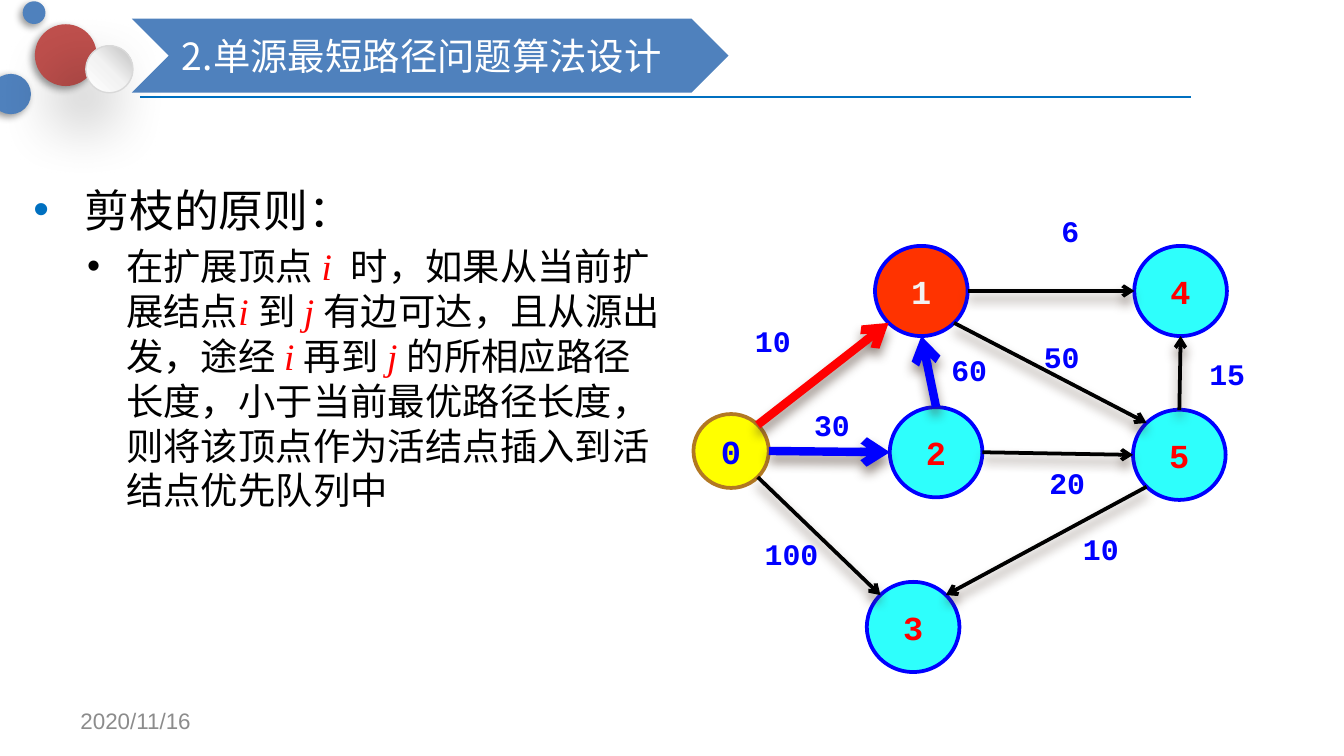
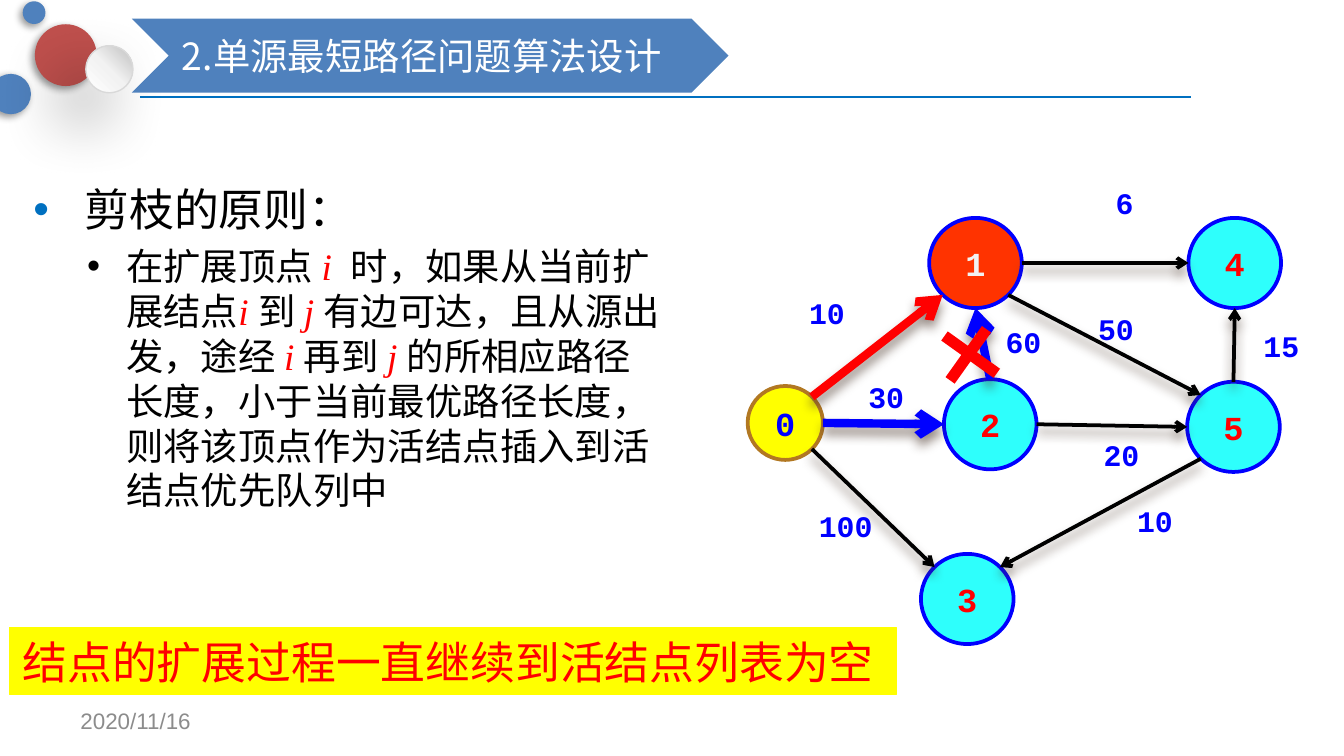
from dataclasses import dataclass
from math import cos, radians, sin

from lxml.etree import SubElement
from pptx import Presentation
from pptx.dml.color import RGBColor
from pptx.enum.shapes import MSO_CONNECTOR, MSO_SHAPE as SHAPE
from pptx.enum.text import MSO_ANCHOR as ANCHOR, PP_ALIGN as ALIGN
from pptx.oxml.ns import qn
from pptx.util import Pt


@dataclass(frozen=True)
class Theme:
    cjk: str = "Noto Sans CJK SC"
    mono: str = "Courier New"
    serif: str = "Times New Roman"
    sans: str = "Arial"
    black: str = "000000"
    white: str = "FFFFFF"
    band: str = "4F81BD"
    brick: str = "C0504D"
    rule: str = "0070C0"
    pearl_line: str = "D9D9D9"
    red: str = "FF0000"
    blue: str = "0000FF"
    yellow: str = "FFFF00"
    cyan: str = "2EFFFC"
    orange: str = "FF3300"
    brown: str = "B27822"
    pale: str = "F2F2F2"
    grey: str = "8C8C8C"
    h1: int = 24
    h2: int = 20
    node: int = 18
    weight: int = 16
    date: int = 12


T = Theme()
PEARL = [(0, "FFFFFF"), (50, "F2F2F2"), (100, "BFBFBF")]
# Shadows: colour, opacity %, blur, distance, direction
ARROW_SHADOW = ("4E3B30", 60, 6, 4, 90)
BALL_SHADOW = (T.black, 40, 4, 2, 135)
PEARL_SHADOW = (T.black, 40, 35, 20, 135)

TITLE = "2.单源最短路径问题算法设计"
DATE = "2020/11/16"
HEADING = "剪枝的原则："
# Odd entries are the vertex variables
RULE = ["在扩展顶点 ", "i  ", "时，如果从当前扩展结点", "i ", "到 ", "j ",
        "有边可达，且从源出发，途经 ", "i ", "再到 ", "j ",
        "的所相应路径长度，小于当前最优路径长度，则将该顶点作为活结点插入到活结点优先队列中"]
BANNER = "结点的扩展过程一直继续到活结点列表为空"

BALLS = [  # left, top, diameter, fill
    (18.7, 13, 33.1, T.brick), (-5, 39.6, 21.6, T.band),
    (46, 24.5, 25.2, None), (12.2, 0.7, 12.2, T.band)]

BIG, SMALL = (49.6, 48.3), (40.3, 39.6)
NODES = {  # centre, size, fill, line, text
    "0": ((391.7, 241.6), SMALL, T.yellow, T.brown, T.blue),
    "1": ((493.6, 155.9), BIG, T.orange, T.blue, T.pale),
    "2": ((501.5, 242.3), BIG, T.cyan, T.blue, T.red),
    "5": ((631.8, 243.7), BIG, T.cyan, T.blue, T.red),
    "3": ((489.2, 335.9), BIG, T.cyan, T.blue, T.red),
    "4": ((632.5, 155.9), BIG, T.cyan, T.blue, T.red)}
COMPASS = {"E": 0, "SE": 45, "S": 90, "SW": 135, "W": 180, "NW": 225, "N": 270, "NE": 315}
THIN, THICK = 2, 4.5
EDGES = [  # node, side, node, side, colour, width
    ("0", "SE", "3", "NW", T.black, THIN), ("1", "SE", "5", "NW", T.black, THIN),
    ("2", "E", "5", "W", T.black, THIN), ("5", "SW", "3", "NE", T.black, THIN),
    ("1", "E", "4", "W", T.black, THIN), ("5", "N", "4", "S", T.black, THIN),
    ("0", "NE", "1", "SW", T.red, THICK), ("0", "E", "2", "W", T.blue, THICK),
    ("2", "N", "1", "S", T.blue, THICK)]
WEIGHTS = [  # text, left, top, width, side inset
    ("10", 397.4, 169.2, 57.6, 7.2), ("30", 429.1, 214.6, 57.6, 7.2),
    ("100", 409.7, 283.7, 57.6, 0), ("60", 502.6, 185, 41, 7.2),
    ("50", 552.2, 177.8, 57.6, 7.2), ("6", 561.6, 110.2, 43.2, 7.2),
    ("10", 573.1, 280.8, 57.6, 7.2), ("20", 555.1, 245.5, 57.6, 7.2),
    ("15", 640.8, 187.2, 57.6, 7.2)]
CROSS = [((506, 180), (534, 200)), ((528.5, 176.4), (509, 203.8))]

SLIDES = [
    {"shift": (0, 0), "body_height": 267, "pruned": False},
    {"shift": (29, -15), "body_height": 188, "pruned": True}]


def rgb(color):
    return RGBColor.from_string(color)


def add_xml(parent, tag, **attrs):
    return SubElement(parent, qn("a:" + tag), {k: str(v) for k, v in attrs.items()})


def set_shadow(sp, shadow=None):
    """Replace the theme effect; call it after the fill and line are set."""
    effects = add_xml(sp._element.spPr, "effectLst")
    if shadow:
        color, alpha, blur, dist, angle = shadow
        outer = add_xml(effects, "outerShdw", blurRad=Pt(blur), dist=Pt(dist),
                        dir=angle * 60000, algn="ctr", rotWithShape=0)
        add_xml(add_xml(outer, "srgbClr", val=color), "alpha", val=alpha * 1000)


def style(p, font, size, color, bold=False):
    p.font.name, p.font.size, p.font.bold = font, Pt(size), bold
    p.font.color.rgb = rgb(color)
    add_xml(p.font._element, "ea", typeface=font)


def write(sp, text, font, size, color, bold=False, align=ALIGN.LEFT,
          anchor=ANCHOR.MIDDLE, inset=7.2, wrap=True):
    tf = sp.text_frame
    tf.word_wrap, tf.vertical_anchor = wrap, anchor
    tf.margin_left = tf.margin_right = Pt(inset)
    p = tf.paragraphs[0]
    p.text, p.alignment = text, align
    style(p, font, size, color, bold)


def add_box(s, *box):
    return s.shapes.add_textbox(*map(Pt, box))


def add_shape(s, kind, box, fill=None, line=None, width=0.75, shadow=None):
    """Add a preset shape; without a fill colour it gets the pearl gradient."""
    sp = s.shapes.add_shape(kind, *map(Pt, box))
    if fill:
        sp.fill.solid()
        sp.fill.fore_color.rgb = rgb(fill)
    else:
        grad = add_xml(sp._element.spPr, "gradFill", rotWithShape=1)
        stops = add_xml(grad, "gsLst")
        for pos, color in PEARL:
            add_xml(add_xml(stops, "gs", pos=pos * 1000), "srgbClr", val=color)
        add_xml(grad, "lin", ang=315 * 60000, scaled=0)
    if line:
        sp.line.color.rgb, sp.line.width = rgb(line), Pt(width)
    else:
        sp.line.fill.background()
    set_shadow(sp, shadow)
    return sp


def add_line(shapes, start, end, color, width, arrow=False):
    sp = shapes.add_connector(MSO_CONNECTOR.STRAIGHT, *map(Pt, (*start, *end)))
    sp.line.color.rgb, sp.line.width = rgb(color), Pt(width)
    if arrow:
        add_xml(sp.line._get_or_add_ln(), "tailEnd", type="arrow")
    set_shadow(sp, ARROW_SHADOW if arrow else None)


def add_frame(s):
    """Rule, corner balls and date shared by all slides."""
    add_line(s.shapes, (75, 52), (638, 52), T.rule, 1.25)
    for x, y, d, fill in BALLS:
        add_shape(s, SHAPE.OVAL, (x, y, d, d), fill, None if fill else T.pearl_line,
                  shadow=BALL_SHADOW if fill else PEARL_SHADOW)
    write(add_box(s, 36, 375, 168, 21.6), DATE, T.sans, T.date, T.grey)


def add_title(s):
    sp = add_shape(s, SHAPE.CHEVRON, (70.6, 10, 319.7, 39.6), T.band)
    write(sp, TITLE, T.cjk, T.h2, T.white)


def set_bullet(p, left, hang, color):
    pPr = p._p.get_or_add_pPr()
    pPr.set("marL", str(Pt(left)))
    pPr.set("indent", str(-Pt(hang)))
    add_xml(add_xml(pPr, "buClr"), "srgbClr", val=color)
    add_xml(pPr, "buFont", typeface=T.sans)
    add_xml(pPr, "buChar", char="•")


def add_body(s, height):
    tf = add_box(s, 10.8, 92.9, 354.2, height).text_frame
    tf.word_wrap = True
    head, rule = tf.paragraphs[0], tf.add_paragraph()
    set_bullet(head, 27.4, 27.4, T.rule)
    head.text, head.line_spacing = HEADING, Pt(30)
    style(head, T.cjk, T.h1, T.black)

    set_bullet(rule, 49.7, 20.9, T.black)
    rule.level, rule.line_spacing, rule.space_before = 1, Pt(24), Pt(4)
    style(rule, T.cjk, T.h2, T.black)
    for i, part in enumerate(RULE):
        r = rule.add_run()
        r.text = part
        if i % 2:
            r.font.name, r.font.italic = T.serif, True
            r.font.color.rgb = rgb(T.red)


def add_graph(s, dx, dy):
    def rim(name, side):
        (cx, cy), (w, h), *_ = NODES[name]
        angle = radians(COMPASS[side])
        return cx + dx + w / 2 * cos(angle), cy + dy + h / 2 * sin(angle)

    for name, ((cx, cy), (w, h), fill, line, color) in NODES.items():
        sp = add_shape(s, SHAPE.OVAL, (cx + dx - w / 2, cy + dy - h / 2, w, h), fill, line, 2)
        write(sp, name, T.mono, T.node, color, True, ALIGN.CENTER, inset=0)
    for a, side_a, b, side_b, color, width in EDGES:
        add_line(s.shapes, rim(a, side_a), rim(b, side_b), color, width, arrow=True)
    for text, x, y, w, inset in WEIGHTS:
        write(add_box(s, x + dx, y + dy, w, 26.6), text, T.mono, T.weight, T.blue, True,
              anchor=ANCHOR.TOP, inset=inset)


def add_pruning(s):
    """Cross out the dropped edge and state when the search ends."""
    cross = s.shapes.add_group_shape()
    for start, end in CROSS:
        add_line(cross.shapes, start, end, T.red, 6)
    sp = add_shape(s, SHAPE.RECTANGLE, (5, 336.2, 475.2, 36), T.yellow, T.yellow)
    write(sp, BANNER, T.cjk, T.h1, T.red, wrap=False)


def main():
    prs = Presentation()
    prs.slide_width, prs.slide_height = Pt(720), Pt(405)
    for spec_of_slide in SLIDES:
        s = prs.slides.add_slide(prs.slide_layouts[6])
        add_frame(s)
        add_body(s, spec_of_slide["body_height"])
        add_graph(s, *spec_of_slide["shift"])
        if spec_of_slide["pruned"]:
            add_pruning(s)
        add_title(s)
    prs.save("out.pptx")


if __name__ == "__main__":
    main()
